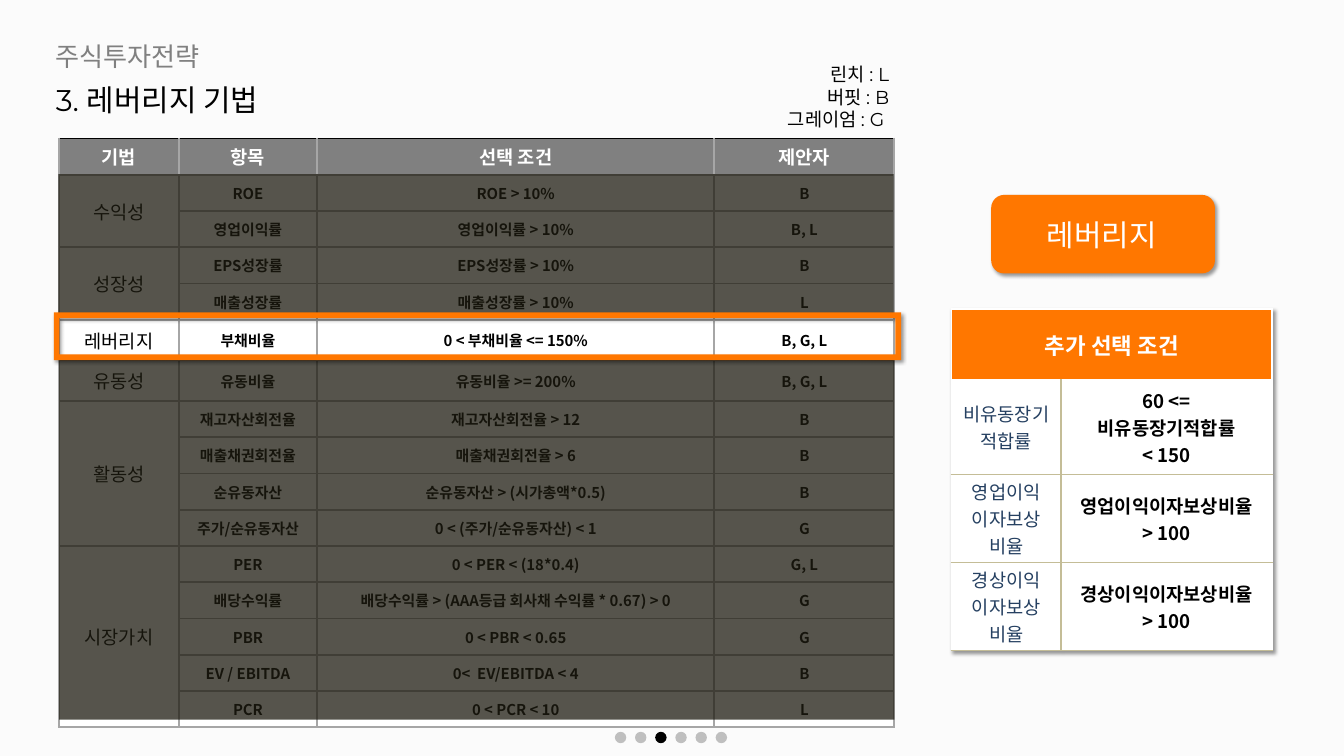
from dataclasses import dataclass

from lxml.etree import SubElement
from pptx import Presentation
from pptx.dml.color import RGBColor
from pptx.enum.shapes import MSO_SHAPE
from pptx.enum.text import MSO_ANCHOR, MSO_AUTO_SIZE, PP_ALIGN
from pptx.oxml import parse_xml
from pptx.oxml.ns import nsdecls, qn
from pptx.util import Inches, Pt


@dataclass(frozen=True)
class Theme:
    """Colours, fonts and type sizes of the slide."""

    background: str = "FBFBFB"
    white: str = "FFFFFF"
    black: str = "000000"
    orange: str = "FF7700"
    header: str = "808080"
    grid: str = "A6A6A6"
    light: str = "BFBFBF"
    sand: str = "C4BD97"
    navy: str = "254061"
    veil: str = "1E1C11"
    display: str = "Montserrat"
    body: str = "Noto Sans CJK KR"
    title_size: int = 32
    kicker_size: int = 28
    panel_size: int = 24
    label_size: int = 20
    cell_size: int = 16


SHADOW = (
    f'<a:effectLst {nsdecls("a")}><a:outerShdw blurRad="50800" dist="38100" dir="2700000" '
    'algn="tl" rotWithShape="0"><a:srgbClr val="000000"><a:alpha val="40000"/></a:srgbClr>'
    "</a:outerShdw></a:effectLst>"
)

METHODS = [
    ("수익성", [("ROE", "ROE > 10%", "B"), ("영업이익률", "영업이익률 > 10%", "B, L")]),
    ("성장성", [("EPS성장률", "EPS성장률 > 10%", "B"), ("매출성장률", "매출성장률 > 10%", "L")]),
    ("레버리지", [("부채비율", "0 < 부채비율 <= 150%", "B, G, L")]),
    ("유동성", [("유동비율", "유동비율 >= 200%", "B, G, L")]),
    ("활동성", [
        ("재고자산회전율", "재고자산회전율 > 12", "B"),
        ("매출채권회전율", "매출채권회전율 > 6", "B"),
        ("순유동자산", "순유동자산 > (시가총액*0.5)", "B"),
        ("주가/순유동자산", "0 < (주가/순유동자산) < 1", "G"),
    ]),
    ("시장가치", [
        ("PER", "0 < PER < (18*0.4)", "G, L"),
        ("배당수익률", "배당수익률 > (AAA등급 회사채 수익률 * 0.67) > 0", "G"),
        ("PBR", "0 < PBR < 0.65", "G"),
        ("EV / EBITDA", "0<  EV/EBITDA < 4", "B"),
        ("PCR", "0 < PCR < 10", "L"),
    ]),
]

EXTRA_CONDITIONS = [
    ("비유동장기\n적합률", "60 <=\n비유동장기적합률\n< 150"),
    ("영업이익\n이자보상\n비율", "영업이익이자보상비율\n> 100"),
    ("경상이익\n이자보상\n비율", "경상이익이자보상비율\n> 100"),
]


class SlideBuilder:
    """Draws styled elements on the current slide."""

    def __init__(self, page, theme):
        """Keep the slide and theme, and paint the background."""
        self.page = page
        self.theme = theme
        page.background.fill.solid()
        page.background.fill.fore_color.rgb = RGBColor.from_string(theme.background)

    def style_text(self, frame, text, size, color, font, bold=False, align=PP_ALIGN.LEFT):
        """Set the text of a frame and format its runs."""
        frame.text = text
        for para in frame.paragraphs:
            para.alignment = align
            for span in para.runs:
                span.font.name = font
                span.font.size = Pt(size)
                span.font.bold = bold
                span.font.color.rgb = RGBColor.from_string(color)
                latin = span._r.get_or_add_rPr().find(qn("a:latin"))
                latin.addnext(parse_xml(f'<a:ea {nsdecls("a")} typeface="{self.theme.body}"/>'))

    def text(self, area, text, size, color, font, align=PP_ALIGN.LEFT):
        """Add a wrapping text box."""
        box = self.page.shapes.add_textbox(*map(Inches, area))
        box.text_frame.word_wrap = True
        self.style_text(box.text_frame, text, size, color, font, align=align)

    def title(self, area, text):
        """Place and format the title above what is already drawn."""
        title = self.page.shapes.title
        title.left, title.top, title.width, title.height = map(Inches, area)
        frame = title.text_frame
        frame.word_wrap = True
        frame.auto_size = MSO_AUTO_SIZE.NONE
        frame.vertical_anchor = MSO_ANCHOR.TOP
        self.style_text(frame, text, self.theme.title_size, self.theme.black, self.theme.display)
        self.page.shapes.element.append(title.element)

    def shape(self, kind, area, color, opacity=100, shadow=False, adjustments=(), parent=None):
        """Add a filled shape without an outline."""
        shape = (parent or self.page).shapes.add_shape(kind, *map(Inches, area))
        shape.shadow.inherit = False
        shape.fill.solid()
        shape.fill.fore_color.rgb = RGBColor.from_string(color)
        shape.line.fill.background()
        for index, value in enumerate(adjustments):
            shape.adjustments[index] = value
        properties = shape.element.spPr
        if opacity < 100:
            tint = properties.find(qn("a:solidFill"))[0]
            SubElement(tint, qn("a:alpha")).set("val", str(opacity * 1000))
        if shadow:
            properties.replace(properties.find(qn("a:effectLst")), parse_xml(SHADOW))
        return shape

    def table(self, area, columns, heights):
        """Add a table without banding."""
        frame = self.page.shapes.add_table(len(heights), len(columns), *map(Inches, area))
        table = frame.table
        table.first_row = table.horz_banding = False
        for column, width in zip(table.columns, columns):
            column.width = Inches(width)
        for row, height in zip(table.rows, heights):
            row.height = Inches(height)
        return table

    def cell(self, cell, text, size, color, fill, borders, bold=False, inset=0.05, left_width=2.25):
        """Fill one cell; borders give colours for left, right, top and bottom."""
        properties = cell._tc.get_or_add_tcPr()
        for side, border in zip("LRTB", borders):
            width = Pt(left_width if side == "L" else 2.25)
            properties.append(parse_xml(
                f'<a:ln{side} {nsdecls("a")} w="{width}"><a:solidFill>'
                f'<a:srgbClr val="{border}"/></a:solidFill></a:ln{side}>'
            ))
        cell.fill.solid()
        cell.fill.fore_color.rgb = RGBColor.from_string(fill)
        cell.vertical_anchor = MSO_ANCHOR.MIDDLE
        cell.margin_top = cell.margin_bottom = Inches(inset)
        self.style_text(cell.text_frame, text, size, color, self.theme.body, bold, PP_ALIGN.CENTER)

    def method_table(self):
        """Draw the table of selection methods."""
        theme = self.theme
        table = self.table((0.88, 2.06, 12.43, 8.65), (1.78, 2.06, 5.91, 2.68), [0.54] * 16)
        grid = [theme.grid] * 4
        for index, text in enumerate(("기법", "항목", "선택 조건", "제안자")):
            borders = (theme.grid, theme.grid, theme.black, theme.grid)
            self.cell(table.cell(0, index), text, theme.label_size, theme.white, theme.header, borders, True)
        row = 1
        for method, items in METHODS:
            last = row + len(items) - 1
            if last > row:
                table.cell(row, 0).merge(table.cell(last, 0))
            inset = 0.05 if row == 1 else 0.1
            self.cell(table.cell(row, 0), method, theme.label_size, theme.black, theme.white, grid, False, inset, 3)
            for item in items:
                for column, text in enumerate(item, 1):
                    self.cell(table.cell(row, column), text, theme.cell_size, theme.black, theme.white, grid, True, 0.1)
                row += 1

    def condition_table(self):
        """Draw the table of additional conditions."""
        theme = self.theme
        table = self.table((14.16, 4.6, 4.77, 4.78), (1.63, 3.14), [1.05] + [1.24] * 3)
        table._tbl.tblPr.insert(0, parse_xml(SHADOW))
        table.cell(0, 0).merge(table.cell(0, 1))
        self.cell(table.cell(0, 0), "추가 선택 조건", theme.panel_size, theme.white, theme.orange, [theme.white] * 4, True)
        for row, (name, condition) in enumerate(EXTRA_CONDITIONS, 1):
            top = theme.white if row == 1 else theme.sand
            left = (theme.white, theme.sand, top, theme.sand)
            right = (theme.sand, theme.white, top, theme.sand)
            self.cell(table.cell(row, 0), name, theme.label_size, theme.navy, theme.white, left)
            self.cell(table.cell(row, 1), condition, theme.label_size, theme.black, theme.white, right, True, 0.1)

    def page_dots(self, count, current):
        """Draw the row of page markers."""
        group = self.page.shapes.add_group_shape()
        for index in range(count):
            color = self.theme.black if index == current else self.theme.light
            area = (9.15 + 0.3 * index, 10.89, 0.17, 0.17)
            self.shape(MSO_SHAPE.FLOWCHART_CONNECTOR, area, color, parent=group)


def main():
    """Build and save the slide."""
    deck = Presentation()
    deck.slide_width, deck.slide_height = Inches(20), Inches(11.25)
    theme = Theme()
    builder = SlideBuilder(deck.slides.add_slide(deck.slide_layouts[5]), theme)
    builder.method_table()
    arc = builder.shape(MSO_SHAPE.BLOCK_ARC, (-1.45, -2.1, 3.99, 3.99), theme.light, 60, adjustments=(64.8, 128.23, 0.21))
    arc.rotation = 140.1
    builder.text((0.73, 0.55, 5.23, 0.57), "주식투자전략", theme.kicker_size, theme.header, theme.display)
    builder.title((0.73, 1.17, 6.85, 0.64), "3. 레버리지 기법")
    builder.condition_table()
    builder.text((11.53, 0.89, 1.8, 1.45), "린치 : L\n버핏 : B\n그레이엄 : G ", theme.label_size, theme.black, theme.display, PP_ALIGN.RIGHT)
    builder.shape(MSO_SHAPE.ROUNDED_RECTANGLE, (14.75, 2.9, 3.33, 1.17), theme.orange, shadow=True)
    builder.text((15.48, 3.18, 1.94, 0.64), "레버리지", theme.title_size, theme.white, theme.body)
    for area in ((0.88, 5.32, 12.43, 5.39), (0.87, 2.59, 12.43, 2.13)):
        builder.shape(MSO_SHAPE.RECTANGLE, area, theme.veil, 75)
    builder.shape(MSO_SHAPE.FRAME, (0.8, 4.65, 12.61, 0.71), theme.orange, shadow=True, adjustments=(0.12,))
    builder.page_dots(6, 2)
    deck.save("out.pptx")


if __name__ == "__main__":
    main()
